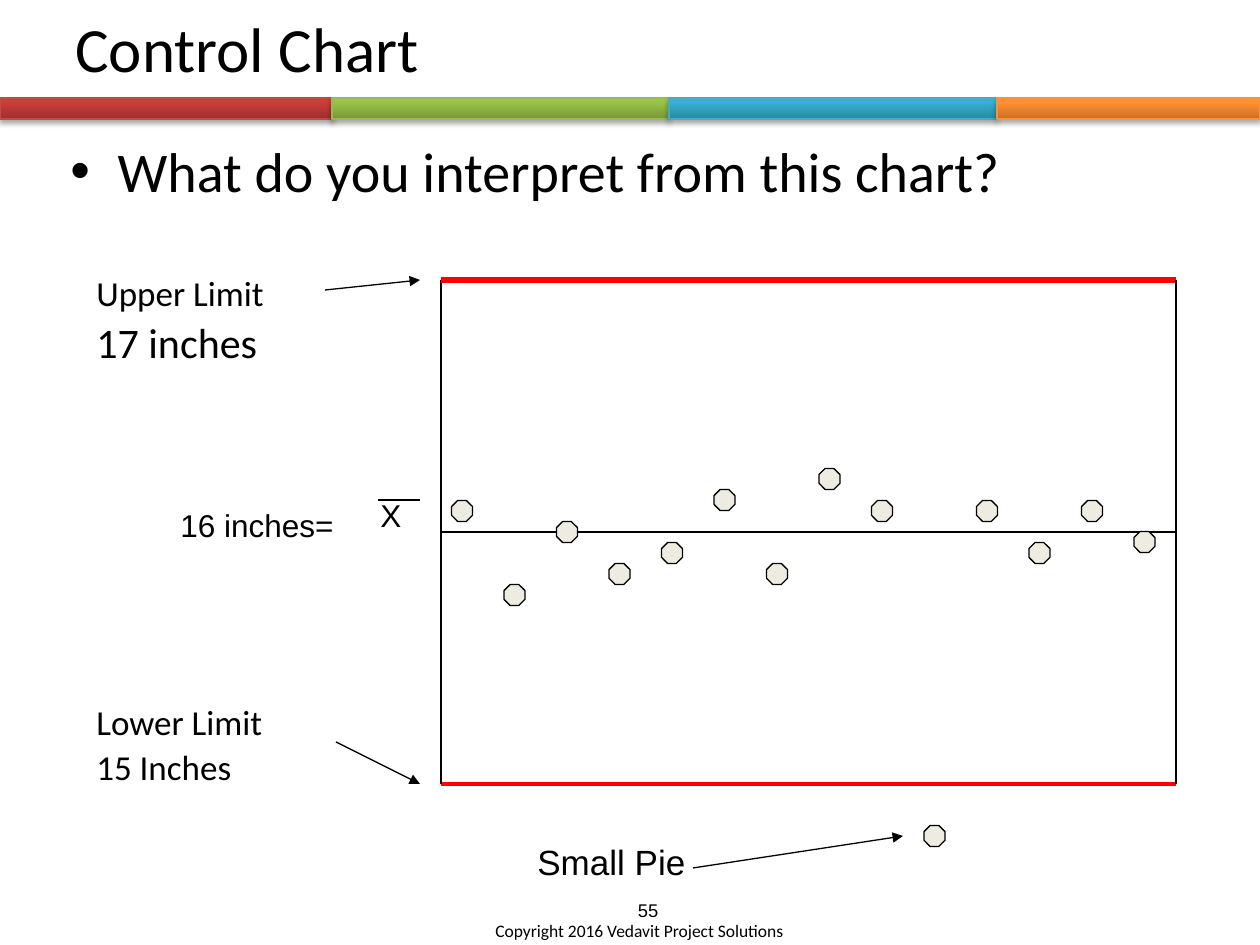
from pptx import Presentation
from pptx.util import Pt
from pptx.dml.color import RGBColor
from pptx.enum.shapes import MSO_CONNECTOR, MSO_SHAPE
from pptx.enum.text import MSO_ANCHOR, PP_ALIGN
from pptx.oxml import parse_xml
from pptx.oxml.ns import nsdecls, qn
from lxml.etree import SubElement
from copy import deepcopy

BLACK = RGBColor(0, 0, 0)
RED = RGBColor(0xFF, 0, 0)
CREAM = RGBColor(0xEE, 0xEC, 0xE1)

# Bands: left, right, dark, mid, light, line
BANDS = [
    (0, 332, "9C2F2D", "CB3E3A", "CE3B37", "BF4C48"),
    (332, 669, "779737", "9BC348", "9DC746", "98B955"),
    (669, 997, "2A88A2", "37B1D2", "34B4D6", "46AAC5"),
    (997, 1260, "CC6E20", "FF9034", "FF9136", "F69240"),
]

# Texts: box, font, lines of (text, size), format values
MID = {"alignment": PP_ALIGN.CENTER}
TIGHT = {"line_spacing": 0.9}
TITLE = ((63, 0, 1134, 94), "Calibri", [("Control Chart", 36)], {})
BODY = ((58, 130, 1139, 134), "Calibri",
        [("What do you interpret from this chart?", 32)], {})
NOTES = [
    ((501, 893, 294, 50), "Arial", [("55", 10.5)], MID),
    ((84, 270, 240, 110), "Calibri",
     [("Upper Limit", 20), ("17 inches", 24)], TIGHT),
    ((84, 699, 240, 110), "Calibri",
     [("Lower Limit", 20), ("15 Inches", 20)], TIGHT),
    ((525, 834, 242, 55), "Arial", [("Small Pie", 20)], {}),
    ((368, 490, 126, 50), "Arial", [("X", 18)], {}),
    ((168, 500, 220, 50), "Arial", [("16 inches=", 18)], {}),
    ((483, 914, 399, 50), "Calibri",
     [("Copyright 2016 Vedavit Project Solutions", 10)], {}),
]

# Chart frame, and height of each sample's centre
LEFT, RIGHT, TOP, BASE = 441, 1176, 280, 784
MEAN = (TOP + BASE) // 2
DOTS = [511, 595, 532, 574, 553, 500, 574,
        479, 511, 836, 511, 553, 511, 542]
SIZE = 21

# Lines: x1, y1, x2, y2, colour, width
FRAME = [
    (LEFT, 752, LEFT, TOP, BLACK, 0.75),
    (LEFT, TOP, RIGHT, TOP, RED, 3),
    (LEFT, 762, LEFT, BASE, BLACK, 0.75),
    (LEFT, BASE, RIGHT, BASE, RED, 2.25),
    (RIGHT, TOP, RIGHT, BASE, BLACK, 0.75),
    (RIGHT, MEAN, LEFT, MEAN, BLACK, 0.75),
    (LEFT, 721, LEFT, BASE, BLACK, 0.75),
    (378, 500, 420, 500, BLACK, 0.75),
]
ARROWS = [(693, 868, 903, 836), (325, 290, 420, 280), (336, 742, 420, 784)]


def px(*vals):
    return [round(v * 914400 / 126) for v in vals]


def band(shapes, left, right, dark, mid, light, edge):
    box = shapes.add_shape(MSO_SHAPE.RECTANGLE, *px(left, 98, right - left, 21))
    box.fill.gradient()
    box.fill.gradient_angle = 90
    stops = box._element.spPr.find(qn("a:gradFill")).find(qn("a:gsLst"))
    stops.append(deepcopy(stops[-1]))
    tones = zip(box.fill.gradient_stops, (0, 0.8, 1), (dark, mid, light))
    for stop, pos, tone in tones:
        stop.color.rgb = RGBColor.from_string(tone)
        stop.position = pos
    box.line.color.rgb = RGBColor.from_string(edge)
    box.line.width = Pt(0.75)
    box.shadow.inherit = False
    box._element.spPr.find(qn("a:effectLst")).append(parse_xml(
        f'<a:outerShdw {nsdecls("a")} blurRad="39370" dist="22860" '
        'dir="5400000" rotWithShape="0"><a:srgbClr val="000000">'
        '<a:alpha val="35000"/></a:srgbClr></a:outerShdw>'))


def line(shapes, x1, y1, x2, y2, tone=BLACK, width=0.75, head=False):
    rule = shapes.add_connector(MSO_CONNECTOR.STRAIGHT, *px(x1, y1, x2, y2))
    rule.line.color.rgb = tone
    rule.line.width = Pt(width)
    if head:
        SubElement(rule.line._get_or_add_ln(), qn("a:tailEnd"), type="triangle")
    SubElement(rule._element.spPr, qn("a:effectLst"))


def dot(shapes, x, y):
    mark = shapes.add_shape(MSO_SHAPE.OCTAGON,
                            *px(x - SIZE / 2, y - SIZE / 2, SIZE, SIZE))
    mark.shadow.inherit = False
    mark.fill.solid()
    mark.fill.fore_color.rgb = CREAM
    mark.line.color.rgb = BLACK
    mark.line.width = Pt(0.75)


def text(shapes, box, face, lines, form, bullet=False):
    frame = shapes.add_textbox(*px(*box)).text_frame
    frame.word_wrap = True
    for i, (words, size) in enumerate(lines):
        para = frame.add_paragraph() if i else frame.paragraphs[0]
        if i:
            para.space_before = Pt(size * 0.2)
        for key, val in form.items():
            setattr(para, key, val)
        if bullet:
            props = para._p.get_or_add_pPr()
            props.set("marL", "342900")
            props.set("indent", "-342900")
            SubElement(props, qn("a:buFont"), typeface="Arial")
            SubElement(props, qn("a:buChar"), char="•")
        run = para.add_run()
        run.text = words
        looks = {"name": face, "size": Pt(size)}
        for key, val in looks.items():
            setattr(run.font, key, val)
        run.font.color.rgb = BLACK
    return frame


def main():
    deck = Presentation()
    deck.slide_width, deck.slide_height = px(1260, 945)
    shapes = deck.slides.add_slide(deck.slide_layouts[6]).shapes

    # Header
    for row in BANDS:
        band(shapes, *row)
    text(shapes, *TITLE).vertical_anchor = MSO_ANCHOR.MIDDLE
    text(shapes, *BODY, bullet=True)

    # Control chart
    for row in FRAME:
        line(shapes, *row)
    for i, y in enumerate(DOTS):
        dot(shapes, LEFT + SIZE + i * SIZE * 2.5, y)

    # Labels and pointers
    for row in ARROWS:
        line(shapes, *row, head=True)
    for row in NOTES:
        text(shapes, *row)

    deck.save("out.pptx")


if __name__ == "__main__":
    main()
